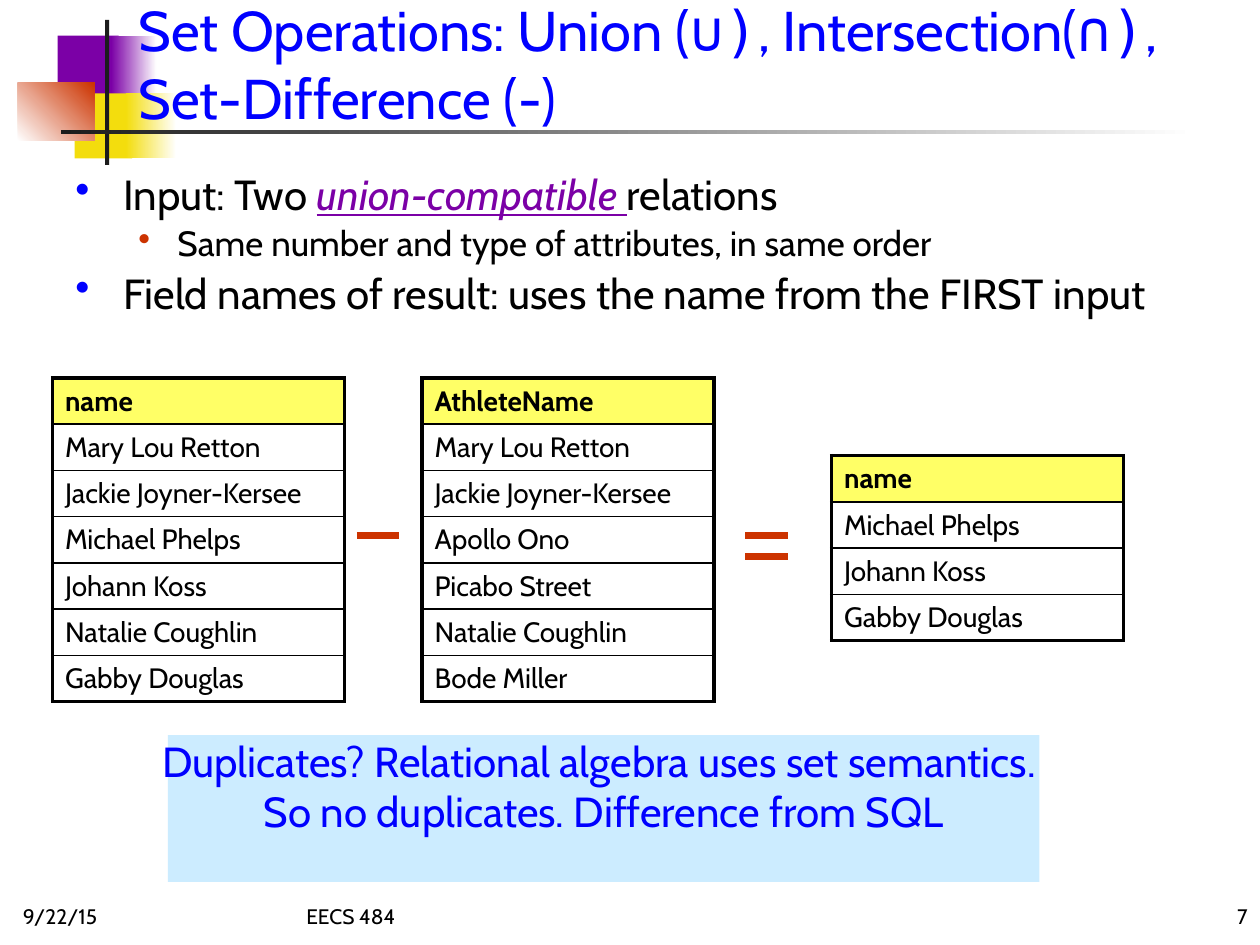
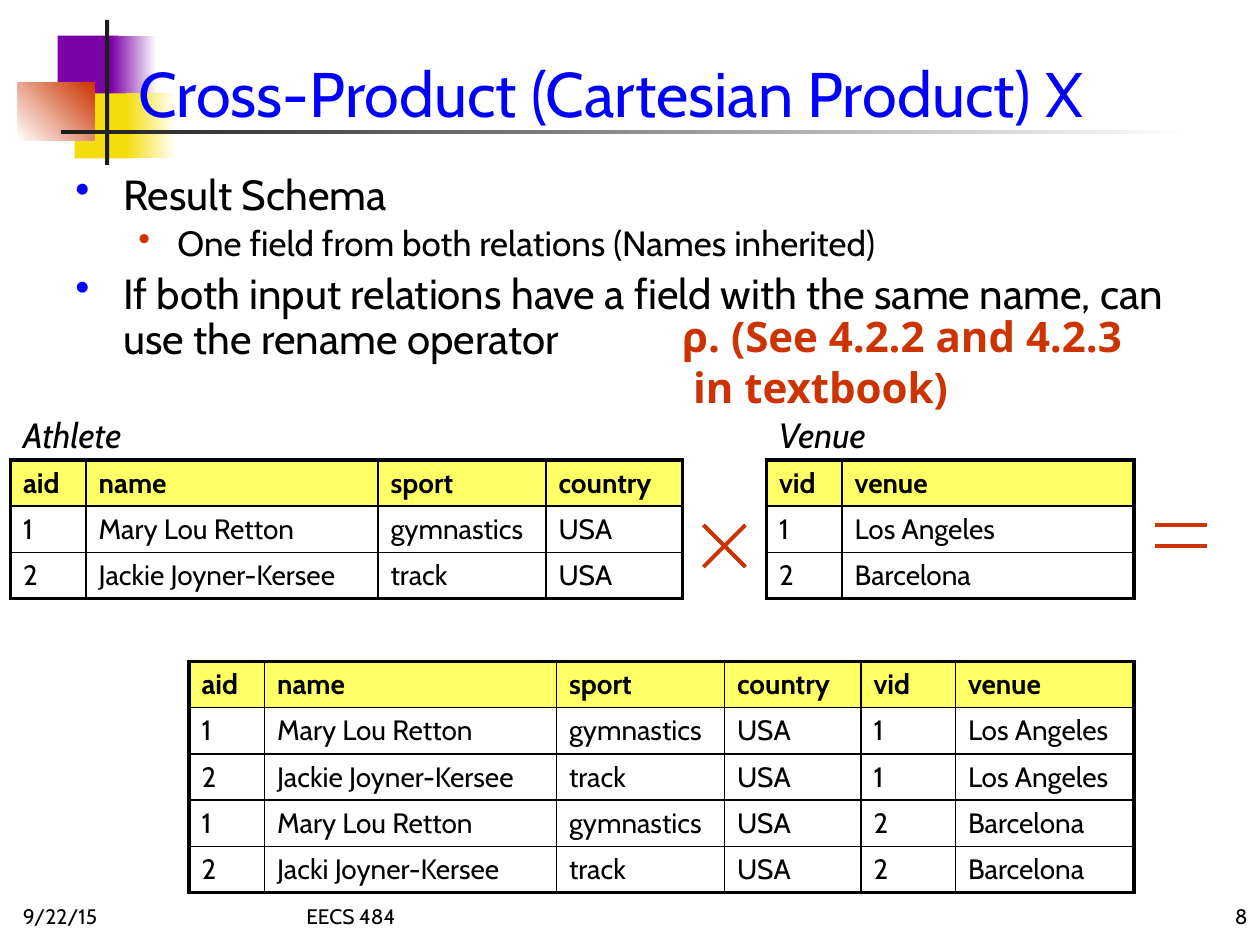
from dataclasses import dataclass

from lxml import etree
from pptx import Presentation
from pptx.dml.color import RGBColor
from pptx.enum.shapes import MSO_CONNECTOR, MSO_SHAPE
from pptx.enum.text import MSO_ANCHOR, PP_ALIGN
from pptx.oxml.ns import qn
from pptx.util import Inches, Pt

RECT = MSO_SHAPE.RECTANGLE
LINE = MSO_CONNECTOR.STRAIGHT
TOP, BASE = MSO_ANCHOR.TOP, MSO_ANCHOR.BOTTOM
LEFT, MID, RIGHT = PP_ALIGN.LEFT, PP_ALIGN.CENTER, PP_ALIGN.RIGHT
CELL = 1 / 12


@dataclass(frozen=True)
class Theme:
    face: str = "Cabin"
    mono: str = "DejaVu Sans Mono"
    sans: str = "Open Sans"
    ink: str = "000000"
    dark: str = "1C1C1C"
    white: str = "FFFFFF"
    blue: str = "0000FF"
    plum: str = "7B00A6"
    gold: str = "F3DD0D"
    red: str = "CC3300"
    head: str = "FFFF66"
    pale: str = "CCECFF"
    foot: int = 12
    cell: int = 16
    sub: int = 20
    body: int = 24
    thin: float = 1
    thick: float = 2.25


T = Theme()
ROW = 4.4
ID, NAME, SPORT, LAND, VID, PLACE = 7.2, 27.8, 16, 13, 9, 17


def grid(*cells):
    return [Inches(n * CELL) for n in cells]


def rgb(tint):
    return RGBColor.from_string(tint)


def style(font, size, tint=T.ink, face=T.face, bold=False, slant=False):
    font.size, font.name = Pt(size), face
    font.bold, font.italic = bold, slant
    font.color.rgb = rgb(tint)


def block(slide, box, tint, end=None, angle=0):
    shape = slide.shapes.add_shape(RECT, *grid(*box))
    shape.shadow.inherit = False
    shape.line.fill.background()
    if end:
        shape.fill.gradient()
        shape.fill.gradient_angle = angle
        for stop, shade in zip(shape.fill.gradient_stops, (tint, end)):
            stop.color.rgb = rgb(shade)
    else:
        shape.fill.solid()
        shape.fill.fore_color.rgb = rgb(tint)
    return shape


def write(frame, lines, size, align=LEFT, **look):
    for i, line in enumerate(lines):
        para = frame.paragraphs[0] if i == 0 else frame.add_paragraph()
        para.text = line
        para.alignment = align
        style(para.font, size, **look)


def label(slide, box, lines, size, anchor=TOP, wrap=True, **look):
    frame = slide.shapes.add_textbox(*grid(*box)).text_frame
    frame.word_wrap = wrap
    frame.vertical_anchor = anchor
    write(frame, lines, size, **look)
    return frame


def bullet(para, tint, left, hang):
    props = para._p.get_or_add_pPr()
    props.set("marL", str(Inches(left)))
    props.set("indent", str(-Inches(hang)))
    color = etree.SubElement(props, qn("a:buClr"))
    etree.SubElement(color, qn("a:srgbClr"), val=tint)
    etree.SubElement(props, qn("a:buChar"), char="•")


def points(slide, rows, items):
    frame = slide.shapes.add_textbox(*grid(6, 16, 110, rows)).text_frame
    frame.word_wrap = True
    for i, (level, runs) in enumerate(items):
        para = frame.paragraphs[0] if i == 0 else frame.add_paragraph()
        size = T.sub if level else T.body
        para.level = level
        para.line_spacing = 0.9
        if i:
            para.space_before = Pt(size * 0.2)
        bullet(para, *((T.red, 0.81, 0.31) if level else (T.blue, 0.38, 0.38)))
        style(para.font, size)
        for j, text in enumerate(runs):
            run = para.add_run()
            run.text = text
            if j % 2:
                run.font.italic = run.font.underline = True
                run.font.color.rgb = rgb(T.plum)


def border(cell, sides):
    props = cell._tc.get_or_add_tcPr()
    for side, width in sides.items():
        line = etree.SubElement(props, qn(f"a:ln{side}"), w=str(Pt(width)))
        fill = etree.SubElement(line, qn("a:solidFill"))
        etree.SubElement(fill, qn("a:srgbClr"), val=T.ink)


def table(slide, left, top, widths, rows):
    high, wide = len(rows), len(widths)
    box = grid(left, top, sum(widths), ROW * high)
    tab = slide.shapes.add_table(high, wide, *box).table
    tab.first_row = tab.horz_banding = False
    for col, width in zip(tab.columns, grid(*widths)):
        col.width = width
    for r, row in enumerate(rows):
        tab.rows[r].height = grid(ROW)[0]
        for c, text in enumerate(row):
            cell = tab.cell(r, c)
            edges = {"L": c == 0, "R": c == wide - 1,
                     "T": r == 0, "B": r == high - 1}
            border(cell, {side: T.thick if outer else T.thin
                          for side, outer in edges.items()})
            if r:
                cell.fill.background()
            else:
                cell.fill.solid()
                cell.fill.fore_color.rgb = rgb(T.head)
            write(cell.text_frame, [text], T.cell, bold=r == 0)


def strokes(slide, width, *ends):
    for end in ends:
        line = slide.shapes.add_connector(LINE, *grid(*end))
        line.line.color.rgb = rgb(T.red)
        line.line.width = Pt(width)
        etree.SubElement(line._element.spPr, qn("a:effectLst"))


def title(slide, size, *runs):
    frame = label(slide, (12, -2, 106, 15), [""], size, BASE, tint=T.blue)
    for i, text in enumerate(runs):
        run = frame.paragraphs[0].add_run()
        run.text = text
        if i % 2:
            run.font.name = T.mono


def base(deck, page):
    slide = deck.slides.add_slide(deck.slide_layouts[6])
    block(slide, (5.5, 3.4, 5.8, 6.2), T.plum)
    block(slide, (10.6, 3.4, 4.3, 6.2), T.plum, T.white)
    block(slide, (7.1, 8.9, 5.5, 6.2), T.gold)
    block(slide, (12, 8.9, 4.8, 6.2), T.gold, T.white)
    block(slide, (1.7, 7.9, 7.3, 5.5), T.white, T.red, 45)
    block(slide, (10, 1.9, 0.4, 13.8), T.dark)
    block(slide, (5.8, 12.4, 108, 0.4), T.dark, T.white)
    for left, width, text, align in ((1, 25, "9/22/15", LEFT),
                                     (28, 65, "EECS 484", LEFT),
                                     (95, 25, page, RIGHT)):
        label(slide, (left, 83, width, 6), [text], T.foot, BASE, align=align)
    return slide


def sets(deck):
    slide = base(deck, "7")
    title(slide, 32, "Set Operations: Union (", "∪)", ", Intersection(",
          "∩)", ", Set-Difference (-)")
    points(slide, 16, [
        (0, ["Input: Two ", "union-compatible ", "relations"]),
        (1, ["Same number and type of attributes, in same order"]),
        (0, ["Field names of result: uses the name from the FIRST input"]),
    ])
    first = ["Mary Lou Retton", "Jackie Joyner-Kersee", "Michael Phelps",
             "Johann Koss", "Natalie Coughlin", "Gabby Douglas"]
    second = ["Mary Lou Retton", "Jackie Joyner-Kersee", "Apollo Ono",
              "Picabo Street", "Natalie Coughlin", "Bode Miller"]
    rest = [name for name in first if name not in second]
    for left, top, head, names in ((5, 36, "name", first),
                                   (40.2, 36, "AthleteName", second),
                                   (79.2, 43.4, "name", rest)):
        table(slide, left, top, [NAME], [[text] for text in [head, *names]])
    strokes(slide, 4.5, (34, 51, 38, 51), (71, 51, 75, 51), (71, 53, 75, 53))
    frame = block(slide, (16, 70, 83, 14), T.pale).text_frame
    frame.word_wrap = False
    frame.vertical_anchor = TOP
    frame.margin_top = 0
    write(frame, ["Duplicates? Relational algebra uses set semantics. ",
                  "So no duplicates. Difference from SQL"],
          T.body, MID, tint=T.blue)


def cross(deck):
    slide = base(deck, "8")
    points(slide, 21, [
        (0, ["Result Schema"]),
        (1, ["One field from both relations (Names inherited)"]),
        (0, ["If both input relations have a field with the same name, "
             "can use the rename operator"]),
    ])
    title(slide, 36, "Cross-Product (Cartesian Product) X")
    ahead, vhead = ["aid", "name", "sport", "country"], ["vid", "venue"]
    retton = ["1", "Mary Lou Retton", "gymnastics", "USA"]
    kersee = ["2", "Jackie Joyner-Kersee", "track", "USA"]
    jacki = ["2", "Jacki Joyner-Kersee", "track", "USA"]
    west, east = ["1", "Los Angeles"], ["2", "Barcelona"]
    wide = [ID, NAME, SPORT, LAND]
    table(slide, 1, 43.8, wide, [ahead, retton, kersee])
    table(slide, 18, 63, wide + [VID, PLACE], [
        ahead + vhead, retton + west, kersee + west,
        retton + east, jacki + east])
    table(slide, 73, 43.8, [ID, NAME], [vhead, west, east])
    for left, text in ((1, "Athlete"), (73, "Venue")):
        label(slide, (left, 38.8, 32, 5.2), [text], T.sub, slant=True)
    strokes(slide, T.thick, (67, 50, 71, 54), (71, 50, 67, 54),
            (110, 50, 115, 50), (110, 52, 115, 52))
    label(slide, (63.8, 29, 47.5, 10.9),
          ["ρ. (See 4.2.2 and 4.2.3", " in textbook)"], T.body,
          wrap=False, tint=T.red, face=T.sans, bold=True)


def main():
    deck = Presentation()
    deck.slide_width, deck.slide_height = grid(120, 90)
    sets(deck)
    cross(deck)
    deck.save("out.pptx")


if __name__ == "__main__":
    main()
